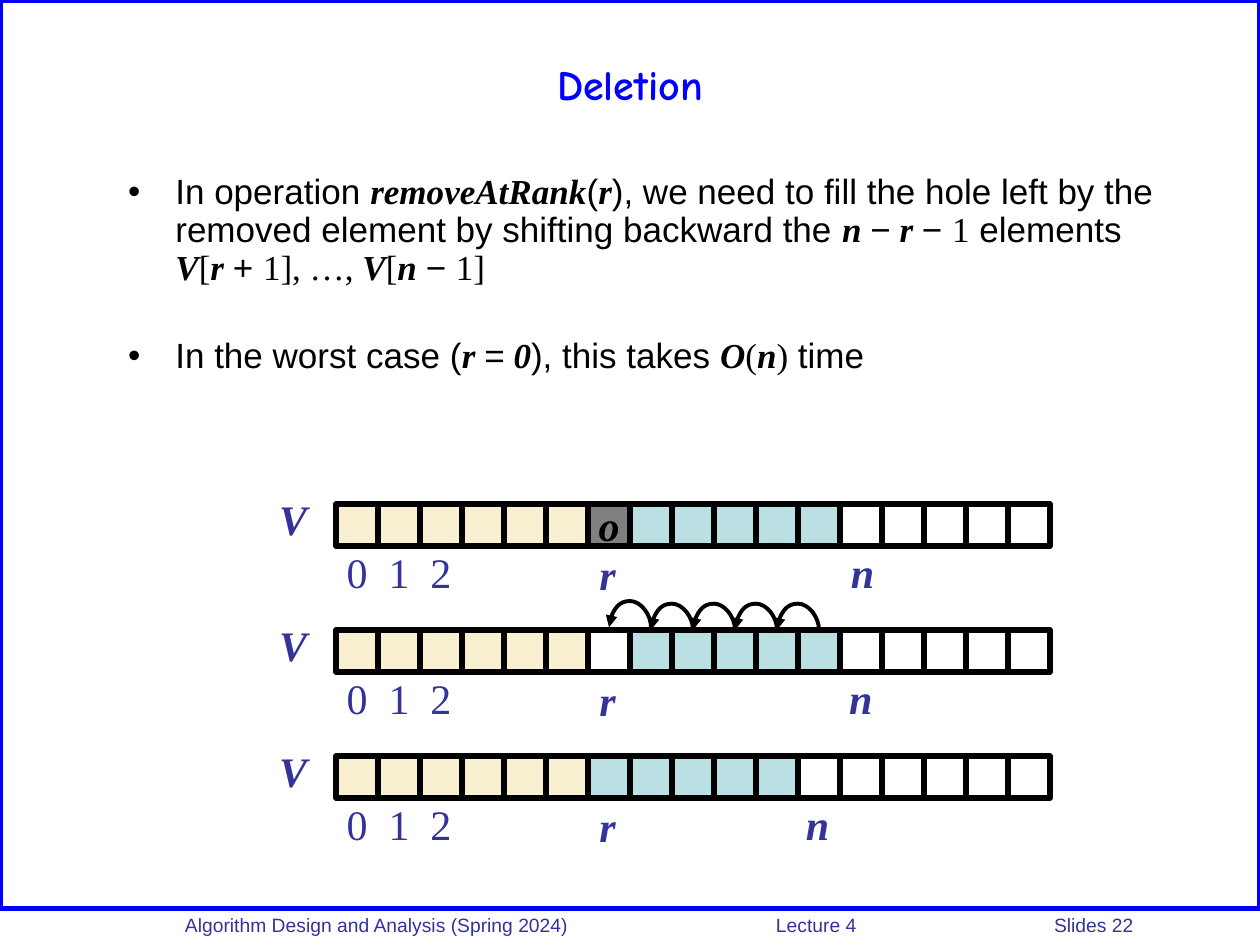
import pptx
import pptx.util
import pptx.dml.color
import pptx.enum.shapes
import pptx.enum.text
import pptx.oxml
import pptx.oxml.ns

Pt = pptx.util.Pt
SHAPE = pptx.enum.shapes.MSO_SHAPE
ALIGN = pptx.enum.text.PP_ALIGN
ANCHOR = pptx.enum.text.MSO_ANCHOR
qn = pptx.oxml.ns.qn

COLORS = {
    "frame": "0000FF", "label": "333399", "ink": "000000",
    "before": "F8F0D0", "after": "BBE0E3", "empty": "FFFFFF", "removed": "808080",
}
SANS, SERIF, COMIC = "Arial", "Times New Roman", "Comic Neue"
STYLES = {"text": (SANS, False), "math": (SERIF, False), "var": (SERIF, True)}

TITLE = "Deletion"
BULLETS = [
    [("text", "In operation "), ("var", "removeAtRank"), ("text", "("), ("var", "r"),
     ("text", "), we need to fill the hole left by the removed element by shifting backward the "),
     ("var", "n "), ("text", "−"), ("var", " r "), ("text", "− "), ("math", "1"),
     ("text", " elements "), ("var", "V"), ("math", "["), ("var", "r "), ("text", "+ "),
     ("math", "1], …, "), ("var", "V"), ("math", "["), ("var", "n "), ("text", "− "),
     ("math", "1]")],
    [("text", "In the worst case ("), ("var", "r "), ("text", "="), ("var", " 0"),
     ("text", "), this takes "), ("var", "O"), ("math", "("), ("var", "n"), ("math", ")"),
     ("text", " time")],
]
FOOTER = ["Algorithm Design and Analysis (Spring 2024)", "Lecture 4", "Slides 22"]
FOOTER_TABS = [337.7, 496.6]

ARRAYS = [
    {"top": 288, "cells": [("before", 6), ("removed", 1), ("after", 5), ("empty", 5)],
     "n_left": 481.7, "shifts": 0},
    {"top": 360, "cells": [("before", 6), ("empty", 1), ("after", 5), ("empty", 5)],
     "n_left": 480.7, "shifts": 5},
    {"top": 432, "cells": [("before", 6), ("after", 5), ("empty", 6)],
     "n_left": 456, "shifts": 0},
]
INDEXES = ["0", "1", "2"]
CELL, ARRAY_LEFT, RANK = 24, 192, 6
ARC_DEPTH, ARC_RATIO = 0.12, -13200000


def rgb(name):
    return pptx.dml.color.RGBColor.from_string(COLORS[name])


def add_run(p, text, size, font, color, bold=False, italic=False):
    r = p.add_run()
    r.text = text
    r.font.size = Pt(size)
    r.font.name = font
    r.font.bold = bold
    r.font.italic = italic
    r.font.color.rgb = rgb(color)


def place(sp, left, top, width, height):
    sp.left, sp.top, sp.width, sp.height = Pt(left), Pt(top), Pt(width), Pt(height)


def add_child(parent, tag, **attrs):
    child = parent.makeelement(qn(tag), attrs)
    parent.append(child)
    return child


def add_rect(shapes, left, top, width, height, fill=None):
    sp = shapes.add_shape(SHAPE.RECTANGLE, Pt(left), Pt(top), Pt(width), Pt(height))
    sp.shadow.inherit = False
    if fill:
        sp.fill.solid()
        sp.fill.fore_color.rgb = rgb(fill)
    else:
        sp.fill.background()
    sp.line.color.rgb = rgb("ink" if fill else "frame")
    sp.line.width = Pt(3)
    return sp


def add_label(shapes, text, left, top, width, variable=True):
    tf = shapes.add_textbox(Pt(left), Pt(top), Pt(width), Pt(29)).text_frame
    tf.margin_left = tf.margin_right = tf.margin_top = tf.margin_bottom = 0
    tf.word_wrap = variable
    p = tf.paragraphs[0]
    p.alignment = ALIGN.CENTER if variable else ALIGN.LEFT
    add_run(p, text, 24, SERIF, "label", variable, variable)


def add_shift_arrow(shapes, center, baseline):
    left, top = center - ARC_DEPTH / 2, baseline - CELL / 2
    c = shapes.add_connector(pptx.enum.shapes.MSO_CONNECTOR.CURVE,
                             Pt(left), Pt(top + CELL), Pt(left + ARC_DEPTH), Pt(top))
    c.line.color.rgb = rgb("ink")
    c.line.width = Pt(2.25)
    spPr = c._element.spPr
    spPr.find(qn("a:xfrm")).set("rot", "5400000")
    guides = spPr.find(qn("a:prstGeom")).find(qn("a:avLst"))
    add_child(guides, "a:gd", name="adj1", fmla=f"val {ARC_RATIO}")
    add_child(c.line._get_or_add_ln(), "a:headEnd", type="triangle")
    add_child(spPr, "a:effectLst")


def add_array(s, array):
    shapes = s.shapes.add_group_shape().shapes
    top = array["top"]
    fills = [fill for fill, count in array["cells"] for _ in range(count)]
    add_label(shapes, "V", 156, top - 6, 23)
    for i, text in enumerate(INDEXES):
        add_label(shapes, text, ARRAY_LEFT + 6 + i * CELL, top + 24.5, 12, False)
    add_label(shapes, "n", array["n_left"], top + 24.5, 22.3)
    for i, fill in enumerate(fills):
        sp = add_rect(shapes, ARRAY_LEFT + i * CELL, top, CELL, CELL, fill)
        if fill == "removed":
            tf = sp.text_frame
            tf.word_wrap = False
            tf.vertical_anchor = ANCHOR.MIDDLE
            tf.paragraphs[0].alignment = ALIGN.CENTER
            add_run(tf.paragraphs[0], "o", 24, SERIF, "ink", True, True)
    add_label(shapes, "r", ARRAY_LEFT + RANK * CELL, top + 25.2, 22.3)
    for i in range(array["shifts"]):
        baseline = top if i else top - 1.5
        add_shift_arrow(shapes, ARRAY_LEFT + (RANK + 1 + i) * CELL, baseline)


def fill_title(s):
    sp = s.shapes.title
    place(sp, 36, 12, 648, 72)
    sp.text_frame.vertical_anchor = ANCHOR.MIDDLE
    p = sp.text_frame.paragraphs[0]
    p.alignment = ALIGN.CENTER
    add_run(p, TITLE, 24, COMIC, "frame", True)


def fill_body(s):
    sp = s.placeholders[1]
    place(sp, 66, 96, 612, 126)
    tf = sp.text_frame
    tf.auto_size = pptx.enum.text.MSO_AUTO_SIZE.NONE
    for i, runs in enumerate(BULLETS):
        p = tf.add_paragraph() if i else tf.paragraphs[0]
        pPr = p._p.get_or_add_pPr()
        pPr.set("marL", str(Pt(27)))
        pPr.set("indent", str(Pt(-27)))
        add_child(pPr, "a:buFont", typeface=SANS)
        add_child(pPr, "a:buChar", char="•")
        p.line_spacing = 0.9
        p.space_before = Pt(29 if i else 0)
        for style, text in runs:
            font, emphasis = STYLES[style]
            add_run(p, text, 20, font, "ink", emphasis, emphasis)


def add_footer(s):
    tf = s.shapes.add_textbox(Pt(84), Pt(518.4), Pt(624), Pt(19)).text_frame
    tf.word_wrap = True
    tf.margin_left = Pt(21.7)
    p = tf.paragraphs[0]
    tabs = add_child(p._p.get_or_add_pPr(), "a:tabLst")
    for pos in FOOTER_TABS:
        add_child(tabs, "a:tab", pos=str(Pt(pos)), algn="l")
    add_run(p, "\t".join(FOOTER), 11, SANS, "label")


def main():
    prs = pptx.Presentation()
    prs.slide_width, prs.slide_height = Pt(720), Pt(540)
    s = prs.slides.add_slide(prs.slide_layouts[1])
    add_rect(s.shapes, 0, 0, 720, 519)
    add_footer(s)
    fill_title(s)
    fill_body(s)
    for array in ARRAYS:
        add_array(s, array)
    prs.save("out.pptx")


if __name__ == "__main__":
    main()
